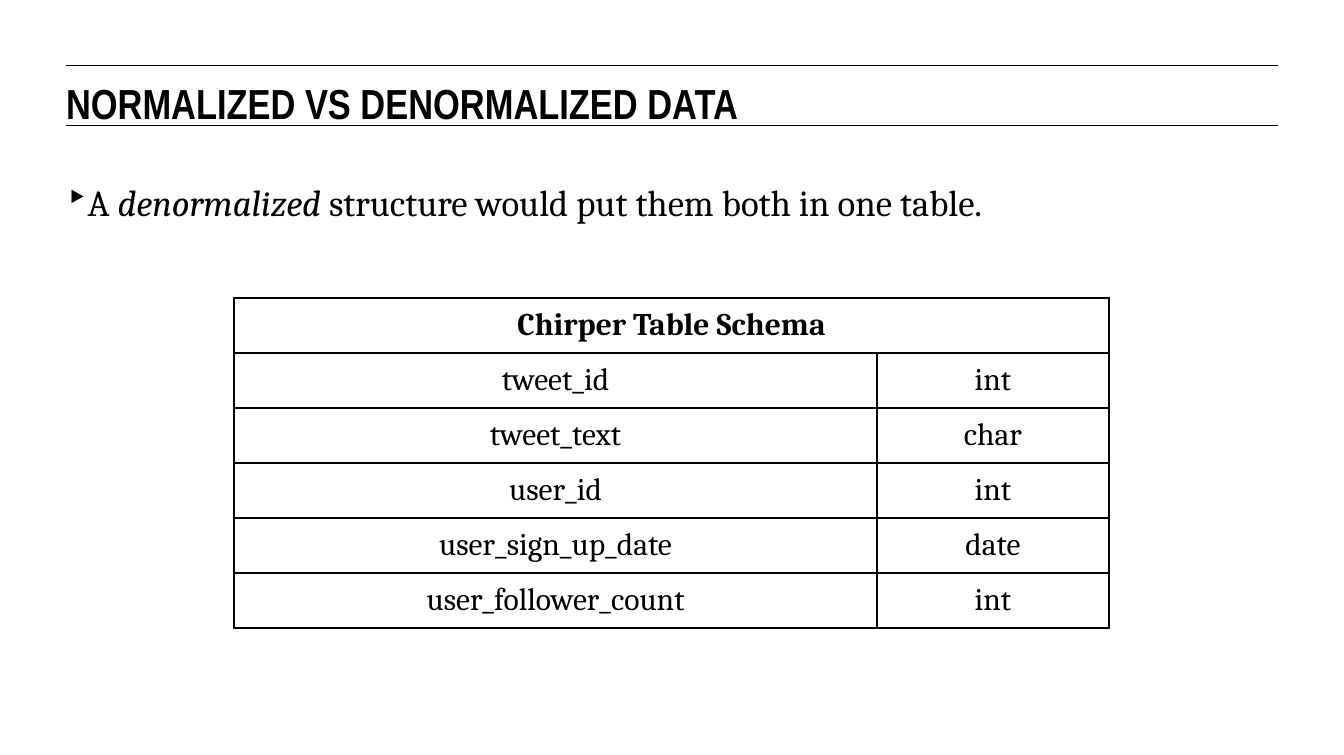
"""Build the slide on normalized versus denormalized data."""
from dataclasses import dataclass

from lxml import etree
from pptx import Presentation
from pptx.dml.color import RGBColor
from pptx.enum.shapes import MSO_CONNECTOR
from pptx.enum.text import MSO_ANCHOR, MSO_AUTO_SIZE, PP_ALIGN
from pptx.oxml.ns import qn
from pptx.util import Pt

TITLE = "NORMALIZED VS DENORMALIZED DATA"
BULLET = [("A ", False), ("denormalized", True),
          (" structure would put them both in one table.", False)]
HEADER = "Chirper Table Schema"
FIELDS = [
    ("tweet_id", "int"),
    ("tweet_text", "char"),
    ("user_id", "int"),
    ("user_sign_up_date", "date"),
    ("user_follower_count", "int"),
]

SLIDE_W, SLIDE_H = 1344, 755
LEFT, WIDTH = 66, 1212
RULE_YS = (65, 126)
TITLE_Y, TITLE_H = 77, 44
BODY_Y, BODY_H, BODY_INSET, INDENT = 133, 394, 47, 21
TABLE_X, TABLE_Y, ROW_H = 234, 298, 55
COL_WIDTHS = (643, 232)
STRAIGHT = MSO_CONNECTOR.STRAIGHT
CENTER = PP_ALIGN.CENTER
TOP, MIDDLE = MSO_ANCHOR.TOP, MSO_ANCHOR.MIDDLE


@dataclass(frozen=True)
class Theme:
    ink: RGBColor = RGBColor(0, 0, 0)
    heading: str = "Arial Narrow"
    body: str = "Cambria"
    title_size: int = 32
    body_size: int = 28
    table_size: int = 24
    rule: float = 0.75
    border: float = 1.5


THEME = Theme()


def px(n):
    return round(n * 914400 / 94.5)


def style(r, size, name=THEME.body, bold=False, italic=False):
    r.font.size, r.font.name = Pt(size), name
    r.font.bold, r.font.italic = bold, italic
    r.font.color.rgb = THEME.ink


def set_frame(tf, top=0):
    tf.margin_left = tf.margin_right = tf.margin_bottom = 0
    tf.margin_top = px(top)
    tf.word_wrap = True
    tf.auto_size = MSO_AUTO_SIZE.NONE
    tf.vertical_anchor = TOP


def add_rule(s, y):
    line = s.shapes.add_connector(STRAIGHT, px(LEFT), px(y), px(LEFT + WIDTH), px(y))
    line.line.color.rgb = THEME.ink
    line.line.width = Pt(THEME.rule)
    etree.SubElement(line._element.spPr, qn("a:effectLst"))


def add_title(s):
    sp = s.shapes.title
    sp.left, sp.top, sp.width, sp.height = map(px, (LEFT, TITLE_Y, WIDTH, TITLE_H))
    set_frame(sp.text_frame)
    p = sp.text_frame.paragraphs[0]
    p.text = TITLE
    p.alignment = PP_ALIGN.LEFT
    style(p.runs[0], THEME.title_size, THEME.heading, bold=True)


def add_bullet(s):
    sp = s.shapes.add_textbox(*map(px, (LEFT, BODY_Y, WIDTH, BODY_H)))
    set_frame(sp.text_frame, BODY_INSET)
    p = sp.text_frame.paragraphs[0]
    for text, italic in BULLET:
        r = p.add_run()
        r.text = text
        style(r, THEME.body_size, italic=italic)
    pPr = p._p.get_or_add_pPr()
    pPr.set("marL", str(px(INDENT)))
    pPr.set("indent", str(-px(INDENT)))
    etree.SubElement(pPr, qn("a:buChar"), char="‣")


def set_borders(cell):
    tcPr = cell._tc.get_or_add_tcPr()
    for i, side in enumerate(("lnL", "lnR", "lnT", "lnB")):
        ln = etree.Element(qn(f"a:{side}"), w=str(Pt(THEME.border)))
        fill = etree.SubElement(ln, qn("a:solidFill"))
        etree.SubElement(fill, qn("a:srgbClr"), val=str(THEME.ink))
        tcPr.insert(i, ln)


def add_schema(s):
    rows = [(HEADER, "")] + FIELDS
    frame = s.shapes.add_table(len(rows), len(COL_WIDTHS), px(TABLE_X), px(TABLE_Y),
                               px(sum(COL_WIDTHS)), px(ROW_H * len(rows)))
    table = frame.table
    table.first_row = table.horz_banding = False
    for column, width in zip(table.columns, COL_WIDTHS):
        column.width = px(width)
    table.cell(0, 0).merge(table.cell(0, 1))
    for i, row in enumerate(rows):
        for j, text in enumerate(row):
            cell = table.cell(i, j)
            cell.fill.background()
            set_borders(cell)
            cell.margin_left = cell.margin_right = px(9)
            cell.margin_top = cell.margin_bottom = px(9)
            cell.vertical_anchor = MIDDLE
            p = cell.text_frame.paragraphs[0]
            p.text = text
            p.alignment = CENTER
            for r in p.runs:
                style(r, THEME.table_size, bold=i == 0)


def main():
    prs = Presentation()
    prs.slide_width, prs.slide_height = px(SLIDE_W), px(SLIDE_H)
    s = prs.slides.add_slide(prs.slide_layouts[5])
    for y in RULE_YS:
        add_rule(s, y)
    add_title(s)
    add_bullet(s)
    add_schema(s)
    prs.save("out.pptx")


if __name__ == "__main__":
    main()
